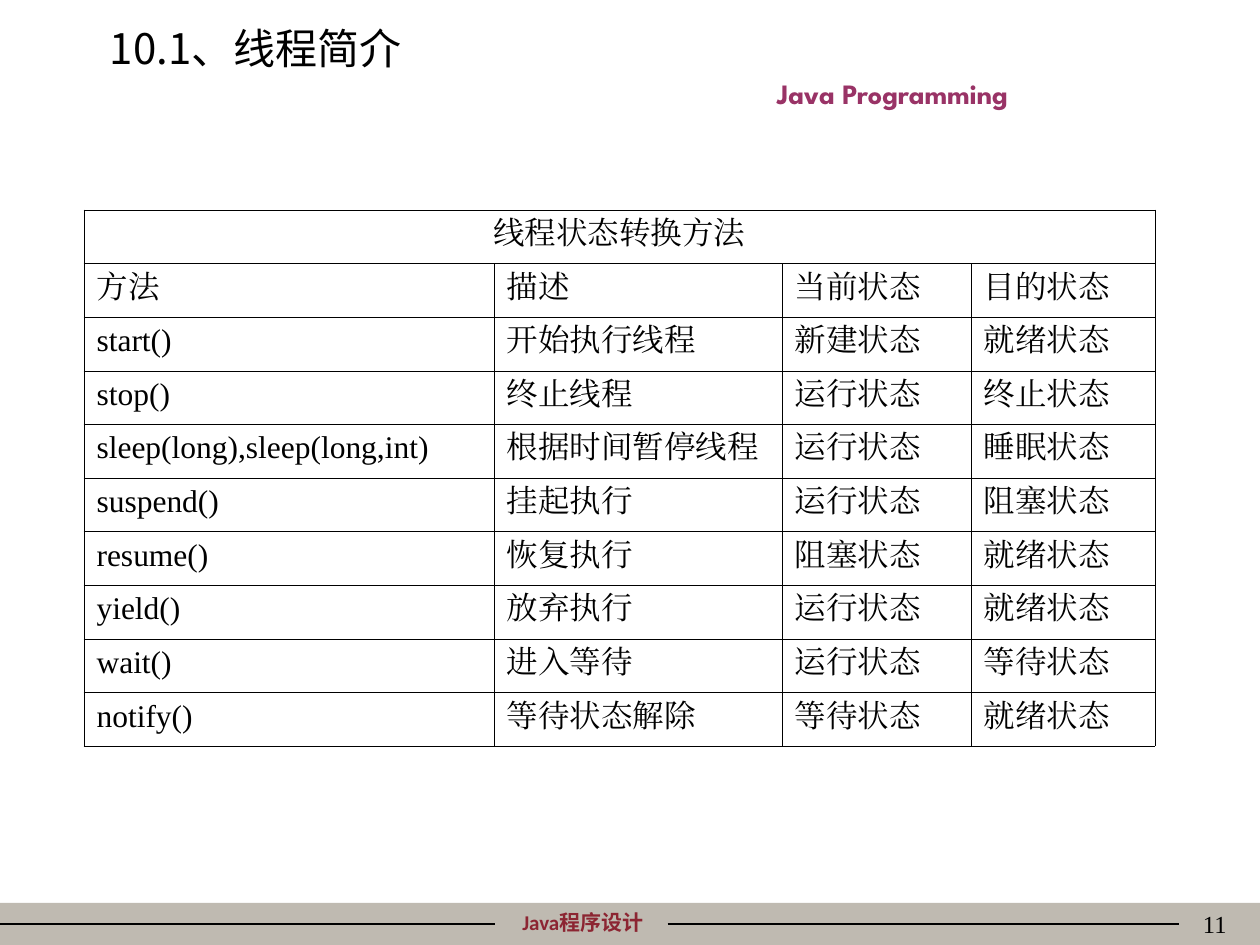
import pptx
import pptx.dml.color
import pptx.enum.shapes
import pptx.enum.text
import pptx.oxml
import pptx.oxml.ns
import pptx.util

Pt = pptx.util.Pt
ALIGN = pptx.enum.text.PP_ALIGN
ANCHOR = pptx.enum.text.MSO_ANCHOR
NAMESPACE = pptx.oxml.ns.nsdecls("a")

ROWS = [
    ["方法", "描述", "当前状态", "目的状态"],
    ["start()", "开始执行线程", "新建状态", "就绪状态"],
    ["stop()", "终止线程", "运行状态", "终止状态"],
    ["sleep(long),sleep(long,int)", "根据时间暂停线程", "运行状态", "睡眠状态"],
    ["suspend()", "挂起执行", "运行状态", "阻塞状态"],
    ["resume()", "恢复执行", "阻塞状态", "就绪状态"],
    ["yield()", "放弃执行", "运行状态", "就绪状态"],
    ["wait()", "进入等待", "运行状态", "等待状态"],
    ["notify()", "等待状态解除", "等待状态", "就绪状态"],
]


def color(value):
    """Turn a hex string into a colour."""
    return pptx.dml.color.RGBColor.from_string(value)


def write(frame, text, font="Times New Roman", size=18, fill="000000",
          bold=False, align=ALIGN.LEFT):
    """Put one formatted paragraph into a text frame."""
    paragraph = frame.paragraphs[0]
    paragraph.alignment = align
    run = paragraph.add_run()
    run.text = text
    run.font.name = font
    run.font.size = Pt(size)
    run.font.bold = bold
    run.font.color.rgb = color(fill)
    run.font._element.append(pptx.oxml.parse_xml(
        f'<a:ea {NAMESPACE} typeface="{font}"/>'))


class SlideBuilder:
    """Hold the slide and its style, and add each kind of element."""

    ink = "000000"
    band = "BFBAB1"
    border_width = 0.34

    def __init__(self, slide):
        """Keep the slide to draw on."""
        self.slide = slide

    def title(self, text, left, top, width, height):
        """Place and format the title placeholder."""
        shape = self.slide.shapes.title
        shape.left, shape.top = Pt(left), Pt(top)
        shape.width, shape.height = Pt(width), Pt(height)
        shape.text_frame.word_wrap = True
        shape.text_frame.vertical_anchor = ANCHOR.MIDDLE
        write(shape.text_frame, text, font="Noto Sans CJK SC", size=24)

    def bar(self, left, top, width, height):
        """Add a plain filled rectangle."""
        shape = self.slide.shapes.add_shape(
            pptx.enum.shapes.MSO_SHAPE.RECTANGLE,
            Pt(left), Pt(top), Pt(width), Pt(height))
        shape.shadow.inherit = False
        shape.fill.solid()
        shape.fill.fore_color.rgb = color(self.band)
        shape.line.fill.background()

    def label(self, text, left, top, width, height, anchor=ANCHOR.TOP, **style):
        """Add a wrapped text box."""
        shape = self.slide.shapes.add_textbox(
            Pt(left), Pt(top), Pt(width), Pt(height))
        shape.text_frame.word_wrap = True
        shape.text_frame.vertical_anchor = anchor
        write(shape.text_frame, text, **style)

    def rule(self, start, end, y):
        """Add a thin horizontal line."""
        connector = self.slide.shapes.add_connector(
            pptx.enum.shapes.MSO_CONNECTOR.STRAIGHT,
            Pt(start), Pt(y), Pt(end), Pt(y))
        connector.line.color.rgb = color(self.ink)
        connector.line.width = Pt(0.75)
        connector._element.spPr.append(
            pptx.oxml.parse_xml(f"<a:effectLst {NAMESPACE}/>"))

    def border(self, cell):
        """Draw the four sides of a table cell."""
        properties = cell._tc.get_or_add_tcPr()
        for index, side in enumerate(("lnL", "lnR", "lnT", "lnB")):
            properties.insert(index, pptx.oxml.parse_xml(
                f'<a:{side} {NAMESPACE} w="{Pt(self.border_width)}"><a:solidFill>'
                f'<a:srgbClr val="{self.ink}"/></a:solidFill></a:{side}>'))

    def table(self, heading, rows, left, top, widths, row_height):
        """Add a bordered table under a heading that spans all columns."""
        count = len(rows) + 1
        table = self.slide.shapes.add_table(
            count, len(widths), Pt(left), Pt(top),
            Pt(sum(widths)), Pt(count * row_height)).table
        table.first_row = table.horz_banding = False
        for column, width in zip(table.columns, widths):
            column.width = Pt(width)
        for row in table.rows:
            row.height = Pt(row_height)
        for cell in table.iter_cells():
            cell.fill.background()
            self.border(cell)
        table.cell(0, 0).merge(table.cell(0, len(widths) - 1))
        write(table.cell(0, 0).text_frame, heading, align=ALIGN.CENTER)
        for row_index, texts in enumerate(rows, start=1):
            for column_index, text in enumerate(texts):
                write(table.cell(row_index, column_index).text_frame, text)


def main():
    """Build the slide and save it."""
    presentation = pptx.Presentation()
    presentation.slide_width, presentation.slide_height = Pt(720), Pt(540)
    slide = presentation.slides.add_slide(presentation.slide_layouts[5])
    builder = SlideBuilder(slide)
    builder.bar(0, 516, 720, 24)
    builder.label("Java程序设计", 260.5, 516, 145, 22, font="Calibri", size=12,
                  fill="8C2532", bold=True, align=ALIGN.CENTER)
    builder.rule(0, 283, 528)
    builder.rule(381.5, 674, 528)
    builder.label("Java Programming", 365.5, 40, 289, 27, anchor=ANCHOR.MIDDLE,
                  font="League Spartan", size=16, fill="993366", bold=True,
                  align=ALIGN.CENTER)
    builder.label("11", 558, 516, 150, 36, size=14, align=ALIGN.RIGHT)
    builder.title("10.1、线程简介", 55.5, 9.5, 612, 36)
    builder.table("线程状态转换方法", ROWS, 48, 120, [234.5, 164.5, 108, 105], 30.65)
    presentation.save("out.pptx")


if __name__ == "__main__":
    main()
